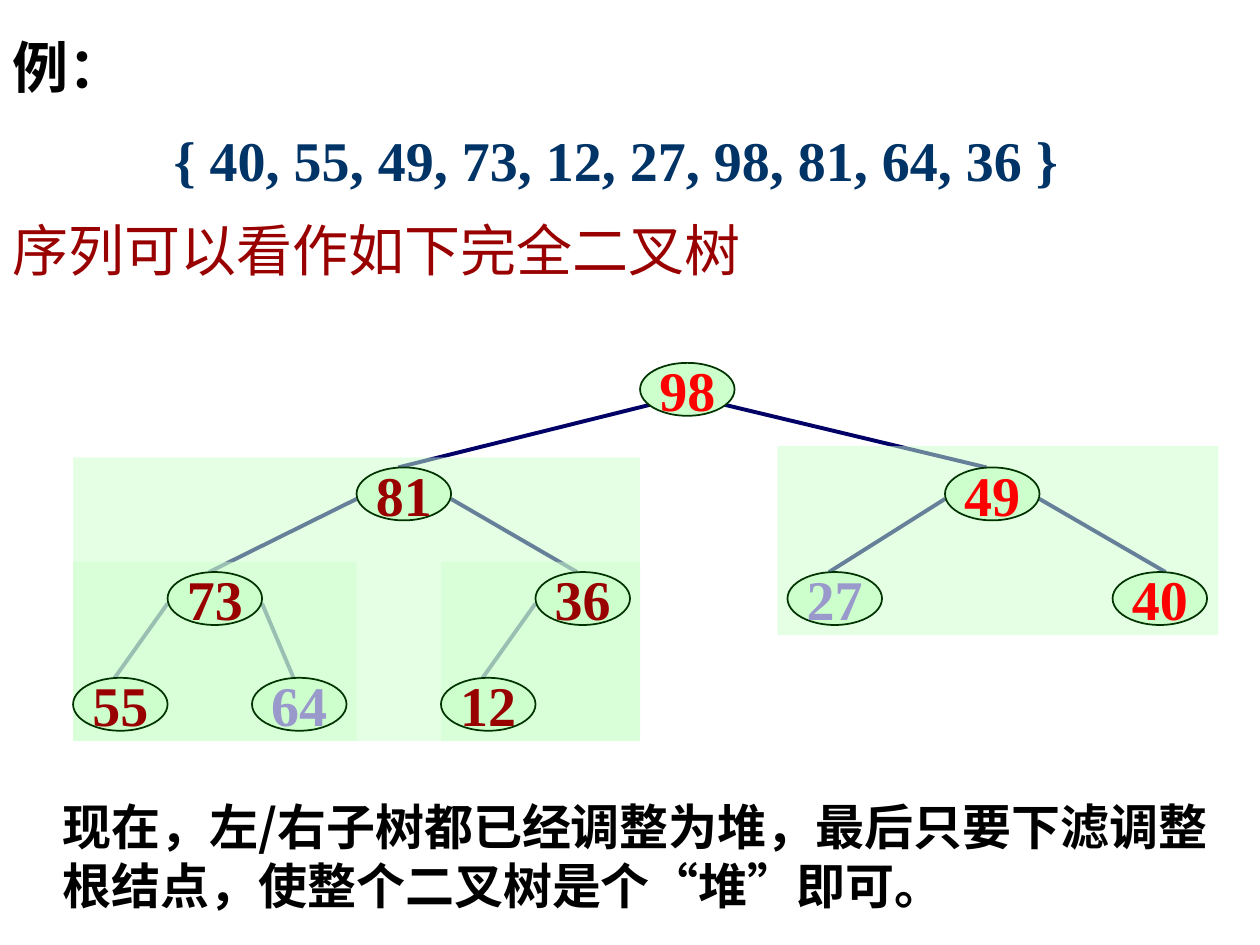
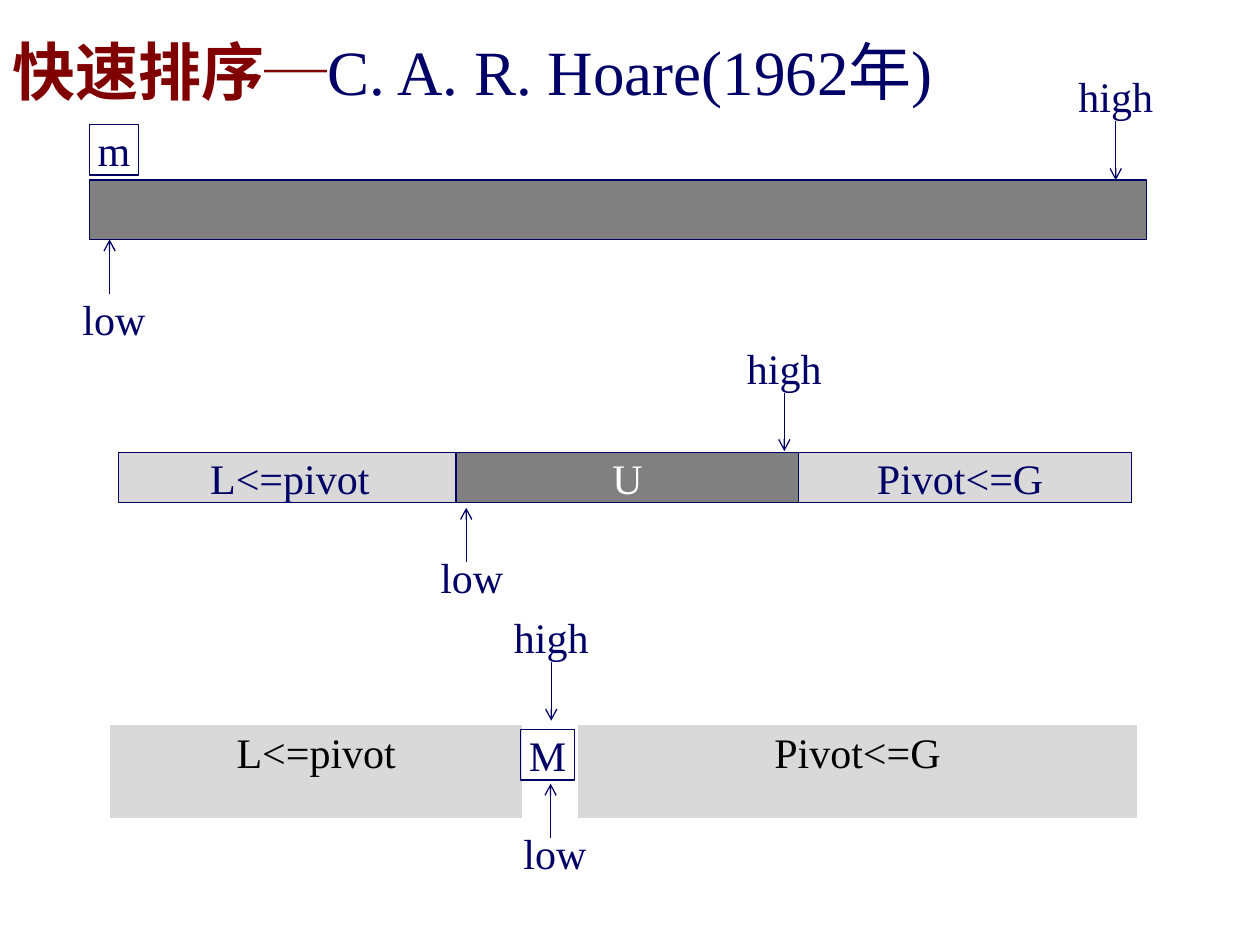
from dataclasses import dataclass

from lxml import etree
from pptx import Presentation
from pptx.dml.color import RGBColor
from pptx.enum.shapes import MSO_CONNECTOR as Link, MSO_SHAPE as Preset
from pptx.enum.text import MSO_ANCHOR as Anchor, MSO_AUTO_SIZE as AutoSize, PP_ALIGN as Align
from pptx.oxml.ns import qn
from pptx.util import Inches, Pt

COLORS = {
    "ink": "000000", "white": "FFFFFF", "navy": "000066", "blue": "003366",
    "wine": "990000", "maroon": "800000", "red": "FF0000", "lilac": "9999CC",
    "mint": "CCFFCC", "forest": "003300", "dark": "808080", "light": "D9D9D9",
}
SERIF, SANS, SANS_JP = "Times New Roman", "Noto Sans CJK SC", "Noto Sans CJK JP"
NODE_WIDTH, NODE_HEIGHT = 0.75, 0.42
LEVEL_TOPS = (2.88, 3.71, 4.54, 5.38)
LABEL_WIDTH, LABEL_HEIGHT = 0.63, 0.4


@dataclass
class Span:
    text: str
    size: int
    color: str
    face: str = SERIF
    bold: bool = False


@dataclass
class Area:
    left: float
    top: float
    width: float
    height: float

    def lengths(self):
        return [Inches(n) for n in (self.left, self.top, self.width, self.height)]


@dataclass
class Node:
    value: str
    left: float
    color: str
    entry: float = 0.33


@dataclass
class Pointer:
    text: str
    left: float
    top: float
    x: float
    start: float
    end: float


@dataclass
class Segment:
    text: str
    area: Area
    fill: str | None
    color: str = "navy"


HEAP = [
    Node("98", 5.08, "red"),
    Node("81", 2.83, "wine"), Node("49", 7.5, "red"),
    Node("73", 1.33, "wine"), Node("36", 4.25, "wine"),
    Node("27", 6.25, "lilac"), Node("40", 8.83, "red", 0.42),
    Node("55", 0.58, "wine"), Node("64", 2, "lilac"), Node("12", 3.5, "wine"),
]
SUBTREES = [
    Area(3.5, 4.46, 1.58, 1.42), Area(0.58, 4.46, 2.25, 1.42),
    Area(6.17, 3.54, 3.5, 1.5), Area(0.58, 3.63, 4.5, 2.25),
]
POINTERS = [
    Pointer("low", 0.59, 2.33, 0.87, 2.33, 1.9),
    Pointer("high", 8.54, 0.56, 8.86, 0.96, 1.43),
    Pointer("low", 3.43, 4.38, 3.7, 4.46, 4.03),
    Pointer("high", 5.91, 2.72, 6.22, 3.12, 3.58),
    Pointer("low", 4.09, 6.57, 4.37, 6.65, 6.22),
    Pointer("high", 4.06, 4.85, 4.37, 5.26, 5.72),
]
SEGMENTS = [
    Segment("m", Area(0.71, 0.99, 0.39, 0.4), None),
    Segment("M", Area(4.13, 5.79, 0.43, 0.4), None),
    Segment("L<=pivot", Area(0.94, 3.59, 2.72, 0.4), "light"),
    Segment("Pivot<=G", Area(6.26, 3.59, 2.72, 0.4), "light"),
    Segment("U", Area(3.62, 3.59, 2.72, 0.4), "dark", "white"),
]


def rgb(name: str) -> RGBColor:
    return RGBColor.from_string(COLORS[name])


def write(frame, spans: list[Span], align=Align.LEFT) -> None:
    para = frame.paragraphs[0]
    para.alignment = align
    for span in spans:
        run = para.add_run()
        run.text = span.text
        font = run.font
        font.size, font.bold, font.name = Pt(span.size), span.bold, span.face
        font.color.rgb = rgb(span.color)
        east = etree.SubElement(font._element, qn("a:ea"))
        east.set("typeface", SANS if span.face == SERIF else span.face)


def set_frame(frame, wrap: bool, tight: bool = False, anchor=Anchor.TOP) -> None:
    frame.word_wrap = wrap
    frame.vertical_anchor = anchor
    if tight:
        frame.margin_left = frame.margin_right = frame.margin_top = frame.margin_bottom = 0


def add_text(page, area: Area, spans: list[Span], wrap=False, tight=False, align=Align.LEFT):
    box = page.shapes.add_textbox(*area.lengths())
    set_frame(box.text_frame, wrap, tight)
    box.text_frame.auto_size = AutoSize.SHAPE_TO_FIT_TEXT
    write(box.text_frame, spans, align)
    return box


def add_shape(page, preset, area: Area, fill: str | None, line: str | None, weight: float = 0.75):
    shape = page.shapes.add_shape(preset, *area.lengths())
    shape.shadow.inherit = False
    if fill:
        shape.fill.solid()
        shape.fill.fore_color.rgb = rgb(fill)
    else:
        shape.fill.background()
    if line:
        shape.line.color.rgb = rgb(line)
        shape.line.width = Pt(weight)
    else:
        shape.line.fill.background()
    return shape


def add_line(page, x1: float, y1: float, x2: float, y2: float, weight: float):
    line = page.shapes.add_connector(
        Link.STRAIGHT, Inches(x1), Inches(y1), Inches(x2), Inches(y2))
    line.line.color.rgb = rgb("navy")
    line.line.width = Pt(weight)
    etree.SubElement(line._element.spPr, qn("a:effectLst"))
    return line


def level_top(index: int) -> float:
    return LEVEL_TOPS[(index + 1).bit_length() - 1]


def add_edge(page, index: int) -> None:
    parent_index = (index - 1) // 2
    parent, child = HEAP[parent_index], HEAP[index]
    inset, drop = (0.09, 0.33) if parent_index == 0 else (0, 0.25)
    is_left = index % 2 == 1
    exit_x = parent.left + (inset if is_left else NODE_WIDTH - inset)
    add_line(page, exit_x, level_top(parent_index) + drop,
             child.left + child.entry, level_top(index), 2.25)


def add_node(page, index: int, node: Node) -> None:
    area = Area(node.left, level_top(index), NODE_WIDTH, NODE_HEIGHT)
    oval = add_shape(page, Preset.OVAL, area, "mint", "forest", 1)
    set_frame(oval.text_frame, wrap=False, anchor=Anchor.MIDDLE)
    write(oval.text_frame, [Span(node.value, 32, node.color, bold=True)], Align.CENTER)


def add_subtree(page, area: Area) -> None:
    panel = add_shape(page, Preset.RECTANGLE, area, "mint", None)
    color = panel._element.spPr.find(qn("a:solidFill"))[0]
    etree.SubElement(color, qn("a:alpha")).set("val", "50000")


def add_pointer(page, pointer: Pointer) -> None:
    label = add_text(page, Area(pointer.left, pointer.top, LABEL_WIDTH, LABEL_HEIGHT),
                     [Span(pointer.text, 24, "navy")], True, True, Align.CENTER)
    arrow = add_line(page, pointer.x, pointer.start, pointer.x, pointer.end, 0.75)
    if pointer.text == "high":
        arrow.begin_connect(label, 2)
        arrow.end_x = arrow.begin_x
    etree.SubElement(arrow.line._get_or_add_ln(), qn("a:tailEnd")).set("type", "arrow")


def add_segment(page, segment: Segment) -> None:
    box = add_shape(page, Preset.RECTANGLE, segment.area, segment.fill, "navy")
    set_frame(box.text_frame, wrap=True, tight=True)
    write(box.text_frame, [Span(segment.text, 24, segment.color)], Align.CENTER)


def add_partition_table(page) -> None:
    area = Area(0.87, 5.75, 8.16, 0.75)
    table = page.shapes.add_table(1, 3, *area.lengths()).table
    columns = ((3.28, "L<=pivot", "light"), (0.43, "", "white"), (4.45, "Pivot<=G", "light"))
    for index, (width, text, fill) in enumerate(columns):
        table.columns[index].width = Inches(width)
        cell = table.cell(0, index)
        cell.fill.solid()
        cell.fill.fore_color.rgb = rgb(fill)
        if text:
            write(cell.text_frame, [Span(text, 24, "ink")], Align.CENTER)


def build_heap_page(page) -> None:
    add_text(page, Area(0, 0.21, 1.1, 0.64), [Span("例：", 32, "ink", SANS, True)])
    for index in range(1, len(HEAP)):
        add_edge(page, index)
    add_text(page, Area(0, 1.66, 6.04, 0.64), [Span("序列可以看作如下完全二叉树", 32, "wine")])
    for area in SUBTREES:
        add_subtree(page, area)
    for index, node in enumerate(HEAP):
        add_node(page, index, node)
    conclusion = ("现在，左/右子树都已经调整为堆，最后只要下滤调整"
                  "根结点，使整个二叉树是个“堆”即可。")
    add_text(page, Area(0.4, 6.27, 9.6, 1.04),
             [Span(conclusion, 28, "ink", SANS, True)], wrap=True)
    add_text(page, Area(1.28, 0.95, 7.29, 0.64),
             [Span("{ 40, 55, 49, 73, 12, 27, 98, 81, 64, 36 }", 32, "blue", bold=True)])


def build_quicksort_page(page) -> None:
    add_text(page, Area(0, 0.21, 8.86, 0.71), [
        Span("快速排序─", 36, "maroon", SANS_JP, True),
        Span("C. A. R. Hoare(1962年)", 36, "navy"),
    ], wrap=True)
    add_shape(page, Preset.RECTANGLE, Area(0.71, 1.43, 8.39, 0.47), "dark", "navy")
    add_partition_table(page)
    for pointer in POINTERS:
        add_pointer(page, pointer)
    for segment in SEGMENTS:
        add_segment(page, segment)


def main() -> None:
    deck = Presentation()
    deck.slide_width, deck.slide_height = Inches(10), Inches(7.5)
    for build in (build_heap_page, build_quicksort_page):
        build(deck.slides.add_slide(deck.slide_layouts[6]))
    deck.save("out.pptx")


if __name__ == "__main__":
    main()
